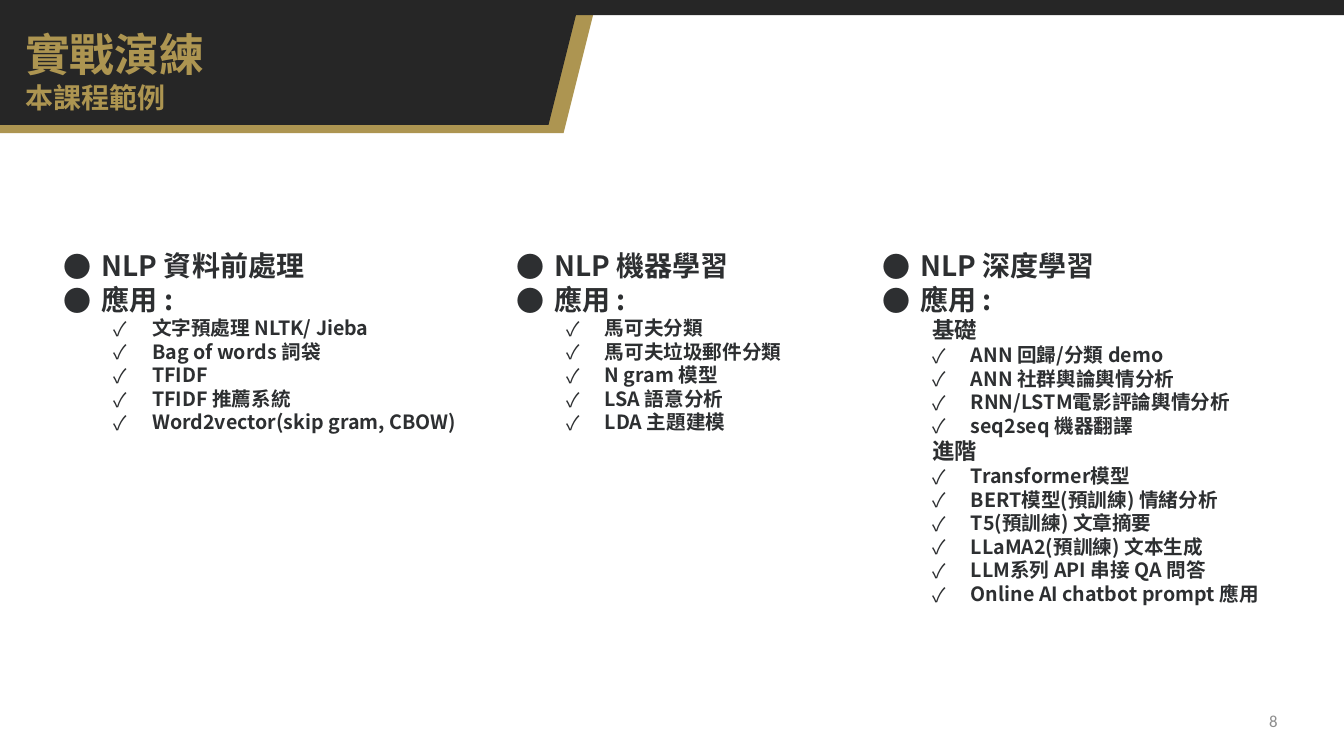
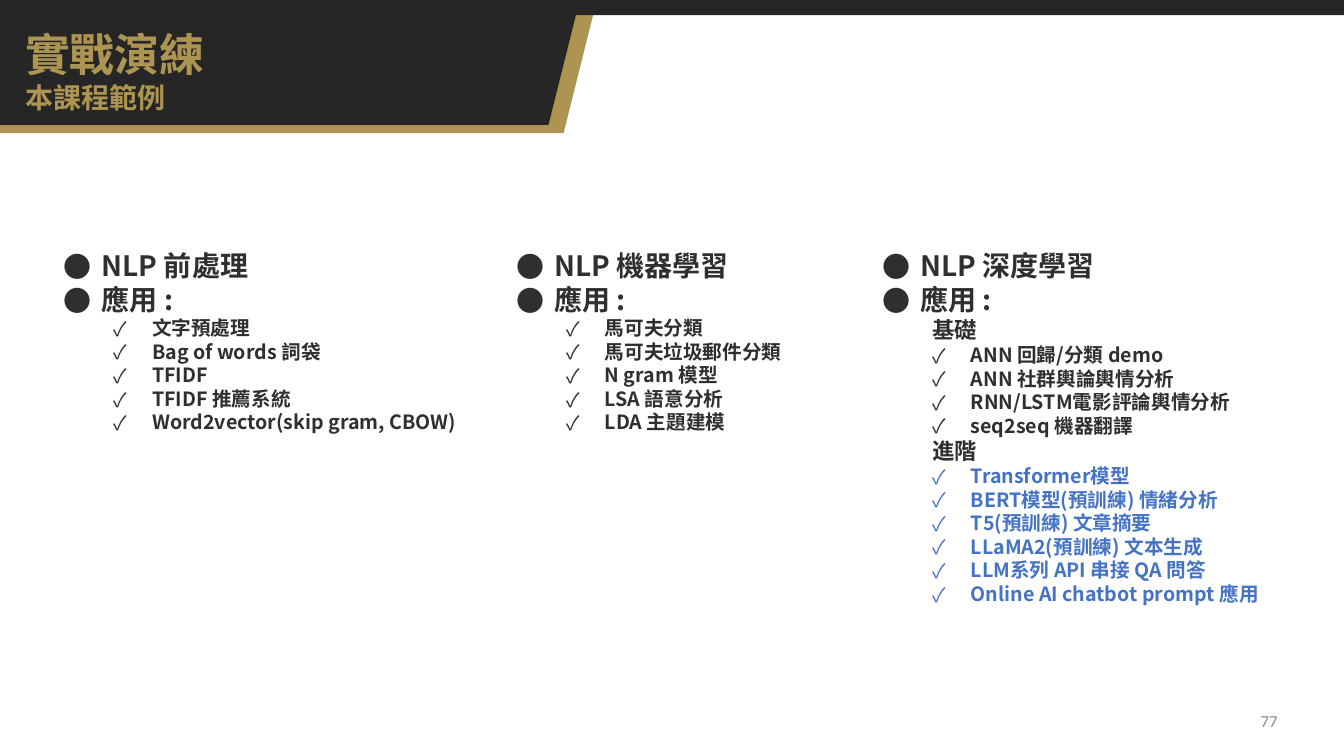
from dataclasses import dataclass

from lxml import etree
from pptx import Presentation
from pptx.dml.color import RGBColor
from pptx.enum import shapes, text
from pptx.oxml import ns
from pptx.util import Inches, Pt

GOLD = RGBColor(0xAD, 0x95, 0x51)
DARK = RGBColor(0x26, 0x26, 0x26)
INK = RGBColor(0x2D, 0x2F, 0x31)
GRAY = RGBColor(0x8C, 0x8C, 0x8C)
BLUE = RGBColor(0x44, 0x72, 0xC4)
CJK = "Noto Sans CJK SC"
SHAPE = shapes.MSO_SHAPE


@dataclass(frozen=True)
class Style:
    size: int
    color: RGBColor = INK
    bold: bool = True
    font: str = CJK
    left: float = 0
    hang: float = 0
    level: int = 0
    bullet: str = ""
    pitch: float | None = None


@dataclass(frozen=True)
class Band:
    kind: SHAPE
    color: RGBColor
    box: tuple[float, ...]


@dataclass(frozen=True)
class Group:
    style: Style
    lines: tuple[str, ...]


@dataclass(frozen=True)
class Column:
    left: float
    width: float
    height: float
    groups: tuple[Group, ...]


TITLE = Style(32, GOLD, pitch=0.9)
SUB = Style(20, GOLD, pitch=0.9)
PAGE = Style(12, GRAY, bold=False, font="Calibri")
HEAD = Style(20, left=0.38, hang=0.38, bullet="●")
PART = Style(16, left=0.5, level=1)
ITEM = Style(14, left=0.88, hang=0.38, level=1, bullet="✓")
MARK = Style(14, BLUE, left=0.88, hang=0.38, level=1, bullet="✓")

BANDS = (
    Band(SHAPE.PARALLELOGRAM, GOLD, (-0.31, 0.08, 6.21, 1.24)),
    Band(SHAPE.PARALLELOGRAM, DARK, (-0.46, 0, 6.21, 1.24)),
    Band(SHAPE.RECTANGLE, DARK, (2.9, 0, 10.43, 0.15)),
)

BASIC = (
    "ANN 回歸/分類 demo",
    "ANN 社群輿論輿情分析",
    "RNN/LSTM電影評論輿情分析",
    "seq2seq 機器翻譯",
)
EXTRA = (
    "Transformer模型",
    "BERT模型(預訓練) 情緒分析",
    "T5(預訓練) 文章摘要",
    "LLaMA2(預訓練) 文本生成",
    "LLM系列 API 串接 QA 問答",
    "Online AI chatbot prompt 應用",
)


def heads(topic: str) -> Group:
    return Group(HEAD, (f"NLP {topic}", "應用 :"))


def columns(topic: str, first: str, last: Style) -> tuple[Column, ...]:
    """Give the three columns; the wording at left and the last style vary."""
    prep = (first, "Bag of words 詞袋", "TFIDF", "TFIDF 推薦系統",
            "Word2vector(skip gram, CBOW)")
    learn = ("馬可夫分類", "馬可夫垃圾郵件分類", "N gram 模型",
             "LSA 語意分析", "LDA 主題建模")
    return (
        Column(0.53, 4.49, 2.63, (heads(topic), Group(ITEM, prep))),
        Column(5.02, 3.64, 2.63, (heads("機器學習"), Group(ITEM, learn))),
        Column(8.65, 4.19, 4.81, (
            heads("深度學習"),
            Group(PART, ("基礎",)), Group(ITEM, BASIC),
            Group(PART, ("進階",)), Group(last, EXTRA),
        )),
    )


def add_band(slide, band: Band) -> None:
    shape = slide.shapes.add_shape(band.kind, *map(Inches, band.box))
    shape.shadow.inherit = False
    shape.fill.solid()
    shape.fill.fore_color.rgb = band.color
    shape.line.fill.background()


def add_bullet(props, style: Style) -> None:
    color = etree.SubElement(props, ns.qn("a:buClr"))
    etree.SubElement(color, ns.qn("a:srgbClr"), val=str(style.color))
    etree.SubElement(props, ns.qn("a:buFont"), typeface=style.font)
    etree.SubElement(props, ns.qn("a:buChar"), char=style.bullet)


def set_style(para, style: Style) -> None:
    para.level = style.level
    if style.pitch:
        para.line_spacing = style.pitch
    props = para._p.get_or_add_pPr()
    props.set("marL", str(Inches(style.left)))
    props.set("indent", str(-Inches(style.hang)))
    if style.bullet:
        add_bullet(props, style)
    font = para.font
    font.size, font.bold, font.name = Pt(style.size), style.bold, style.font
    font.color.rgb = style.color
    latin = props.find(ns.qn("a:defRPr")).find(ns.qn("a:latin"))
    latin.addnext(latin.makeelement(ns.qn("a:ea"), typeface=style.font))


def add_text(slide, box: tuple[float, ...], groups: tuple[Group, ...],
             anchor=text.MSO_ANCHOR.MIDDLE, align=text.PP_ALIGN.LEFT):
    frame = slide.shapes.add_textbox(*map(Inches, box)).text_frame
    frame.word_wrap = True
    frame.vertical_anchor = anchor
    rows = [(line, group.style) for group in groups for line in group.lines]
    for i, (line, style) in enumerate(rows):
        para = frame.add_paragraph() if i else frame.paragraphs[0]
        para.text = line
        para.alignment = align
        set_style(para, style)
    return frame


def add_slide(deck, page: str, cols: tuple[Column, ...]) -> None:
    slide = deck.slides.add_slide(deck.slide_layouts[6])
    for band in BANDS:
        add_band(slide, band)
    add_text(slide, (0.15, 0.15, 4.3, 0.84), (Group(TITLE, ("實戰演練",)),))
    add_text(slide, (0.15, 0.74, 2.89, 0.5), (Group(SUB, ("本課程範例",)),))
    add_text(slide, (9.77, 6.95, 3, 0.4), (Group(PAGE, (page,)),),
             align=text.PP_ALIGN.RIGHT)
    for col in cols:
        frame = add_text(slide, (col.left, 2.42, col.width, col.height),
                         col.groups, text.MSO_ANCHOR.TOP)
        frame.auto_size = text.MSO_AUTO_SIZE.SHAPE_TO_FIT_TEXT


def main() -> None:
    deck = Presentation()
    deck.slide_width, deck.slide_height = Inches(13.33), Inches(7.5)
    add_slide(deck, "8", columns("資料前處理", "文字預處理 NLTK/ Jieba", ITEM))
    add_slide(deck, "77", columns("前處理", "文字預處理", MARK))
    deck.save("out.pptx")


if __name__ == "__main__":
    main()
